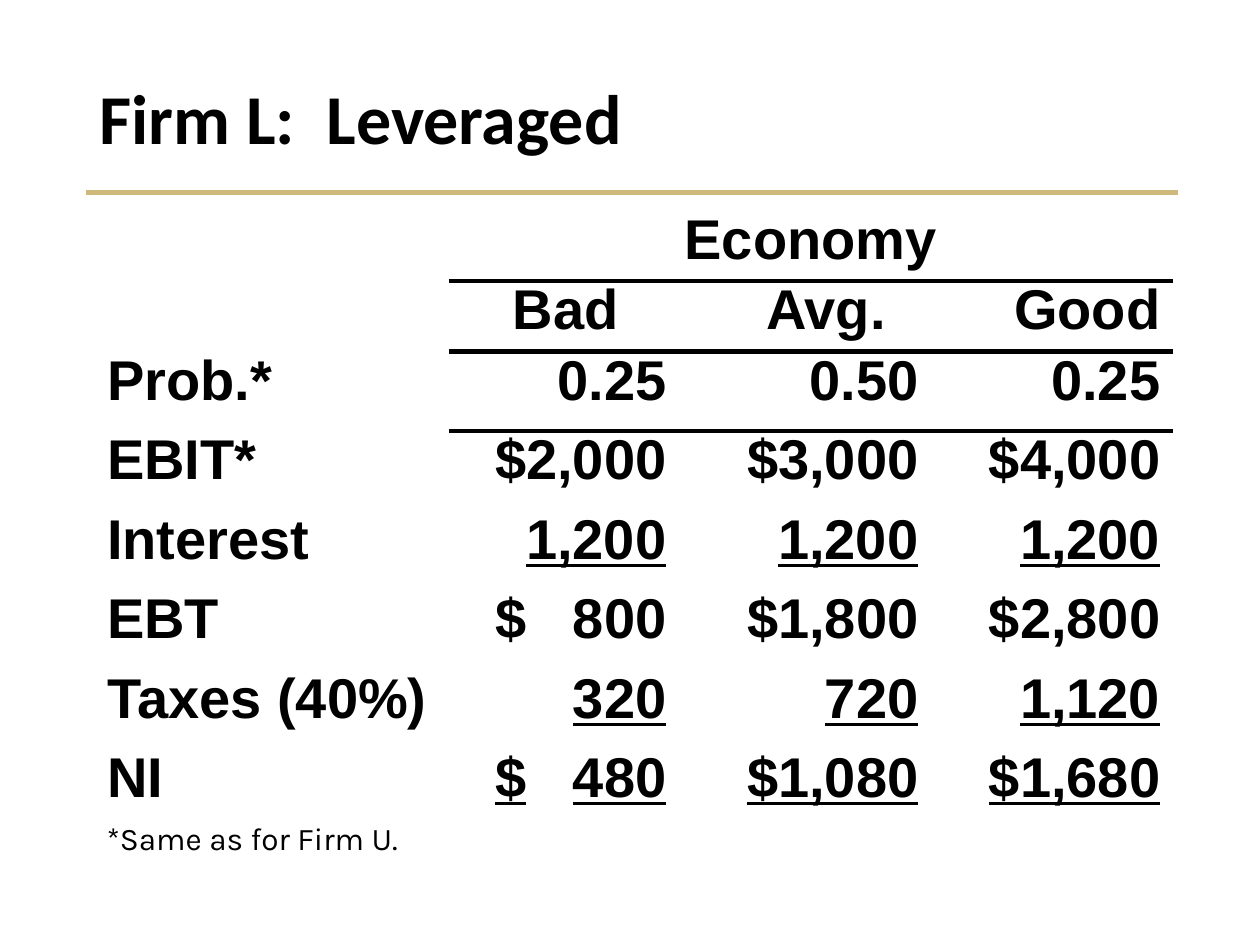
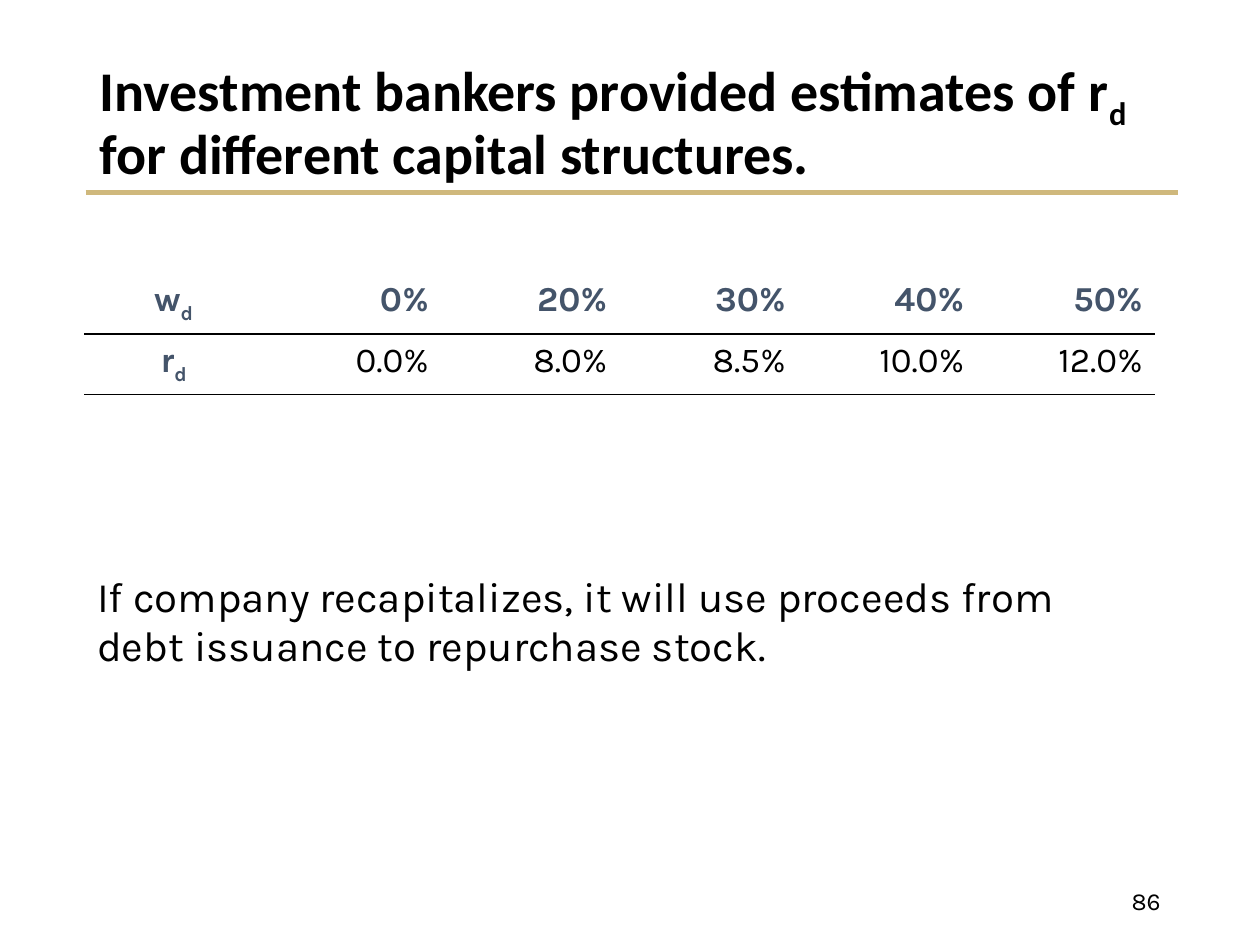
from dataclasses import dataclass

from lxml.etree import SubElement
from pptx import Presentation
from pptx.dml.color import RGBColor
from pptx.enum.shapes import MSO_CONNECTOR
from pptx.enum.text import MSO_ANCHOR, MSO_AUTO_SIZE, PP_ALIGN
from pptx.oxml import parse_xml
from pptx.oxml.ns import nsdecls, qn
from pptx.util import Inches, Pt


@dataclass(frozen=True)
class Theme:
    black: str = "000000"
    gold: str = "CFB87C"
    slate: str = "44546A"
    title_font: str = "Calibri"
    body_font: str = "Karla"
    figure_font: str = "Arial"
    title: int = 40
    long_title: int = 32
    figure: int = 32
    note: int = 24
    rate: int = 20
    footnote: int = 18
    page: int = 14


T = Theme()
NO_STYLE = "{2D5ABB26-0587-4C30-8999-92F81FD0307C}"
PAD = 0.1  # side inset of table cells
FIGURE_WIDTH = 1.36  # width of a money column, "$" to last digit


# --- Text ---
def write(p, text, font, size, color=T.black, bold=False,
          align=PP_ALIGN.LEFT, underline=False):
    """Write text in one paragraph; parts between bars are subscripts."""
    p.alignment = align
    for i, part in enumerate(text.split("|")):
        if not part:
            continue
        r = p.add_run()
        r.text = part
        r.font.name, r.font.size, r.font.bold = font, Pt(size), bold
        r.font.color.rgb = RGBColor.from_string(color)
        if underline:
            r.font.underline = True
        if i % 2:
            r.font._element.set("baseline", "-25000")


def add_text(slide, box, text, size, align=PP_ALIGN.LEFT, anchor=MSO_ANCHOR.TOP):
    sp = slide.shapes.add_textbox(*map(Inches, box))
    tf = sp.text_frame
    tf.word_wrap = True
    tf.vertical_anchor = anchor
    write(tf.paragraphs[0], text, T.body_font, size, align=align)


# --- Slide frame: gold rule and title ---
def add_slide(prs, title, size):
    slide = prs.slides.add_slide(prs.slide_layouts[5])
    line = slide.shapes.add_connector(
        MSO_CONNECTOR.STRAIGHT, Inches(0.68), Inches(1.53), Inches(9.35), Inches(1.53))
    line.line.color.rgb = RGBColor.from_string(T.gold)
    line.line.width = Pt(3)
    SubElement(line._element.spPr, qn("a:effectLst"))

    sp = slide.shapes.title
    sp.left, sp.top, sp.width, sp.height = map(Inches, (0.69, 0.4, 8.62, 1.13))
    tf = sp.text_frame
    tf.word_wrap = True
    tf.auto_size = MSO_AUTO_SIZE.NONE
    tf.vertical_anchor = MSO_ANCHOR.MIDDLE
    p = tf.paragraphs[0]
    write(p, title, T.title_font, size, bold=True)
    p.line_spacing = 0.9
    return slide


# --- Tables ---
def add_plain_table(slide, left, top, widths, heights):
    frame = slide.shapes.add_table(
        len(heights), len(widths), Inches(left), Inches(top),
        Inches(sum(widths)), Inches(sum(heights)))
    table = frame.table
    table.first_row = table.horz_banding = False
    table._tbl.tblPr.find(qn("a:tableStyleId")).text = NO_STYLE
    for col, width in zip(table.columns, widths):
        col.width = Inches(width)
    for row, height in zip(table.rows, heights):
        row.height = Inches(height)
        for cell in row.cells:
            cell.fill.background()
            cell.margin_left = cell.margin_right = Inches(PAD)
    return table


def add_border(cell, side, width):
    tcPr = cell._tc.get_or_add_tcPr()
    lines = [child for child in tcPr if child.tag.startswith(qn("a:ln"))]
    tcPr.insert(len(lines), parse_xml(
        f'<a:{side} {nsdecls("a")} w="{Pt(width)}"><a:solidFill>'
        f'<a:srgbClr val="{T.black}"/></a:solidFill></a:{side}>'))


def rule_below(table, row, first_col, width):
    for col in range(first_col, len(table.columns)):
        add_border(table.cell(row, col), "lnB", width)
        add_border(table.cell(row + 1, col), "lnT", width)


def write_figure(cell, text, **style):
    p = cell.text_frame.paragraphs[0]
    write(p, text, T.figure_font, T.figure, bold=True, **style)
    p.line_spacing = 0.85
    return p


def write_money(cell, col_width, text, underline):
    """Sign at the left of the money column, digits on a right tab."""
    cell.margin_left = Inches(col_width - PAD - FIGURE_WIDTH)
    cell.margin_right = Inches(PAD - 0.03)
    p = cell.text_frame.paragraphs[0]
    tabs = SubElement(p._p.get_or_add_pPr(), qn("a:tabLst"))
    SubElement(tabs, qn("a:tab"), pos=str(Inches(FIGURE_WIDTH)), algn="r")
    write_figure(cell, text, underline=underline)


def add_income_table(slide):
    widths = [2.81, 1.83, 2, 1.92]
    table = add_plain_table(slide, 0.75, 1.67, widths, [0.56] * 2 + [0.63] * 6)

    # Economy heading over its three states
    economy = table.cell(0, 1)
    economy.merge(table.cell(0, 3))
    write_figure(economy, "Economy", align=PP_ALIGN.CENTER)
    states = [("Bad", 0.48), ("Avg.", 0.36), ("Good", PAD)]
    for col, (state, inset) in enumerate(states, 1):
        cell = table.cell(1, col)
        cell.margin_right = Inches(inset)
        write_figure(cell, state, align=PP_ALIGN.RIGHT)

    # Label, figures, underlined
    rows = [
        ("Prob.*", ["0.25", "0.50", "0.25"], False),
        ("EBIT*", ["$2,000", "$3,000", "$4,000"], False),
        ("Interest", ["\t1,200", "\t1,200", "\t1,200"], True),
        ("EBT", ["$\t800", "$1,800", "$2,800"], False),
        ("Taxes (40%)", ["\t320", "\t720", "\t1,120"], True),
        ("NI", ["$\t480", "$1,080", "$1,680"], True),
    ]
    for row, (label, figures, underline) in enumerate(rows, 2):
        write_figure(table.cell(row, 0), label)
        for col, figure in enumerate(figures, 1):
            cell = table.cell(row, col)
            if "\t" in figure:
                write_money(cell, widths[col], figure, underline)
            else:
                write_figure(cell, figure, align=PP_ALIGN.RIGHT, underline=underline)
    for row in (0, 1):
        rule_below(table, row, 1, 3)


def add_rate_table(slide):
    heights = [0.46] * 5 + [0.9] + [0.4] * 4
    table = add_plain_table(slide, 0.67, 2.17, [8.5 / 6] * 6, heights)
    rows = [
        ["w|d|", "0%", "20%", "30%", "40%", "50%"],
        ["r|d|", "0.0%", "8.0%", "8.5%", "10.0%", "12.0%"],
    ]
    for row, values in enumerate(rows):
        for col, value in enumerate(values):
            heading = row == 0 or col == 0
            write(table.cell(row, col).text_frame.paragraphs[0], value,
                  T.body_font, T.rate, T.slate if heading else T.black, heading,
                  PP_ALIGN.RIGHT if col else PP_ALIGN.CENTER)
    rule_below(table, 0, 0, 1)

    # Note across the full width
    note = table.cell(5, 0)
    note.merge(table.cell(5, 5))
    write(note.text_frame.paragraphs[0],
          "If company recapitalizes, it will use proceeds from "
          "debt issuance to repurchase stock.", T.body_font, T.note)


def main():
    prs = Presentation()
    prs.slide_width, prs.slide_height = Inches(10), Inches(7.5)

    # Leveraged firm
    slide = add_slide(prs, "Firm L:  Leveraged", T.title)
    add_text(slide, (0.75, 6.45, 8.41, 0.63), "*Same as for Firm U.", T.footnote)
    add_income_table(slide)

    # Cost of debt by capital structure
    slide = add_slide(
        prs, "Investment bankers provided estimates of r|d| "
        "for different capital structures.", T.long_title)
    add_text(slide, (7.06, 6.95, 2.25, 0.4), "86", T.page,
             PP_ALIGN.RIGHT, MSO_ANCHOR.MIDDLE)
    add_rate_table(slide)

    prs.save("out.pptx")


if __name__ == "__main__":
    main()
